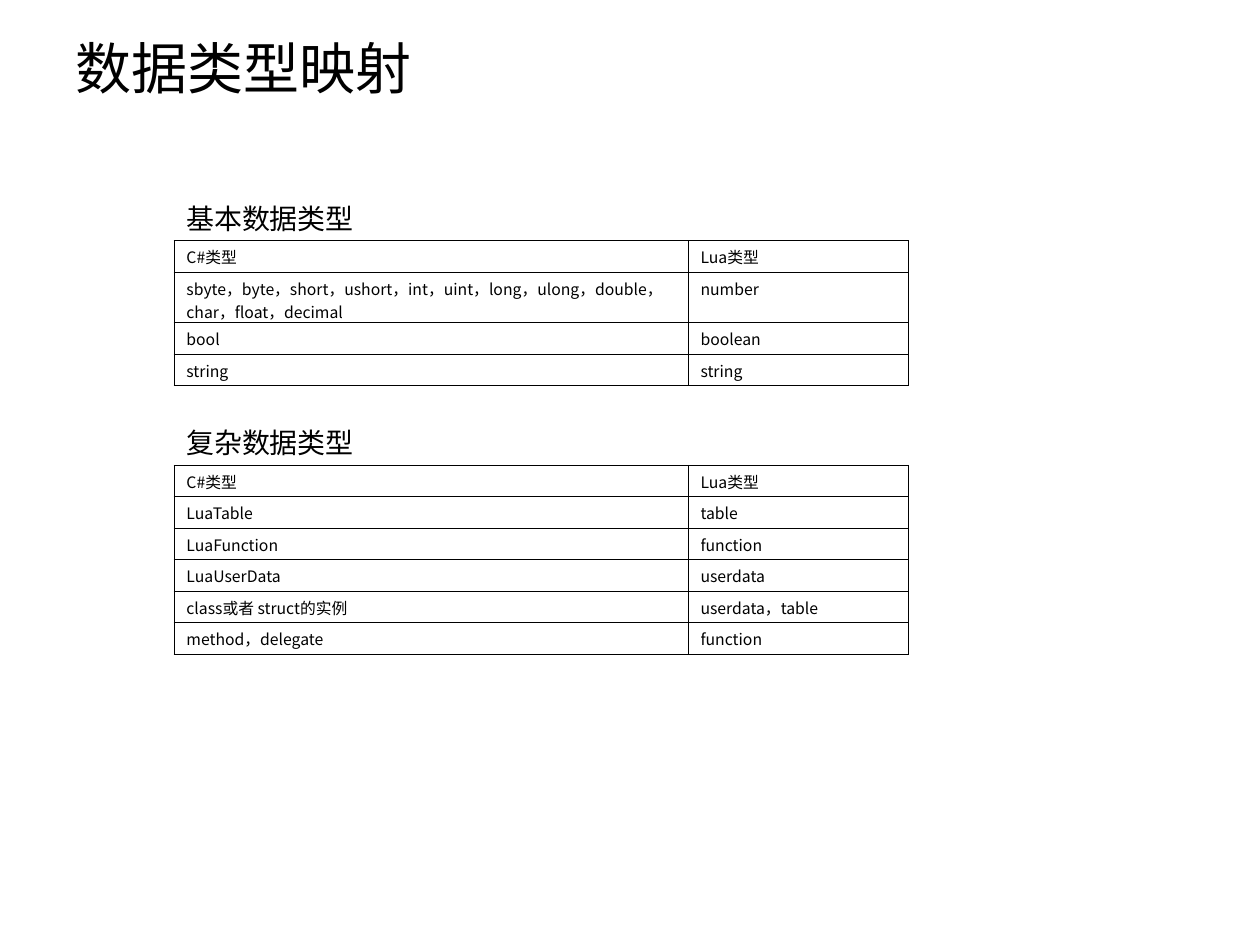
from lxml import etree
from pptx import Presentation
from pptx.dml.color import RGBColor
from pptx.enum.text import MSO_ANCHOR, PP_ALIGN
from pptx.oxml.ns import qn
from pptx.util import Inches, Pt

LEFT = PP_ALIGN.LEFT
TOP, MIDDLE = MSO_ANCHOR.TOP, MSO_ANCHOR.MIDDLE
TITLE_ONLY = 5

HEADER = ("C#类型", "Lua类型")
BASIC_TYPES = [
    HEADER,
    ("sbyte，byte，short，ushort，int，uint，long，ulong，double，char，float，decimal",
     "number"),
    ("bool", "boolean"),
    ("string", "string"),
]
COMPLEX_TYPES = [
    HEADER,
    ("LuaTable", "table"),
    ("LuaFunction", "function"),
    ("LuaUserData", "userdata"),
    ("class或者 struct的实例", "userdata，table"),
    ("method，delegate", "function"),
]


def color(value):
    return RGBColor.from_string(value)


class TypeMappingSlide:
    title_font = "Arial"
    body_font = "Noto Sans CJK SC"
    ink = "000000"
    left = 1.38
    column_widths = (4.08, 1.75)
    row_height = 0.25

    def __init__(self, presentation):
        layout = presentation.slide_layouts[TITLE_ONLY]
        self.slide = presentation.slides.add_slide(layout)

    def set_text(self, text_frame, text, size, font_name):
        text_frame.word_wrap = True
        text_frame.text = text
        paragraph = text_frame.paragraphs[0]
        paragraph.alignment = LEFT
        paragraph.font.name = font_name
        paragraph.font.size = Pt(size)
        paragraph.font.color.rgb = color(self.ink)

    def title(self, text):
        shape = self.slide.shapes.title
        shape.left, shape.top = Inches(0.5), Inches(0.21)
        shape.width, shape.height = Inches(9), Inches(0.64)
        self.set_text(shape.text_frame, text, 32, self.title_font)
        shape.text_frame.vertical_anchor = MIDDLE

    def heading(self, text, top):
        shape = self.slide.shapes.add_textbox(
            Inches(self.left), Inches(top), Inches(5.56), Inches(0.37))
        self.set_text(shape.text_frame, text, 16, self.body_font)

    def border(self, cell):
        properties = cell._tc.get_or_add_tcPr()
        for index, side in enumerate(("lnL", "lnR", "lnT", "lnB")):
            line = etree.Element(qn(f"a:{side}"), w=str(Pt(0.25)))
            fill = etree.SubElement(line, qn("a:solidFill"))
            etree.SubElement(fill, qn("a:srgbClr"), val=self.ink)
            properties.insert(index, line)

    def table(self, rows, top, tall_rows=None):
        heights = [self.row_height] * len(rows)
        for index, height in (tall_rows or {}).items():
            heights[index] = height
        table = self.slide.shapes.add_table(
            len(rows), len(self.column_widths), Inches(self.left), Inches(top),
            Inches(sum(self.column_widths)), Inches(sum(heights))).table
        table.first_row = table.horz_banding = False
        for column, width in zip(table.columns, self.column_widths):
            column.width = Inches(width)
        for row, height, texts in zip(table.rows, heights, rows):
            row.height = Inches(height)
            for cell, text in zip(row.cells, texts):
                cell.margin_left = cell.margin_right = Inches(0.1)
                cell.margin_top, cell.margin_bottom = Inches(0.04), 0
                cell.vertical_anchor = TOP
                cell.fill.background()
                self.border(cell)
                self.set_text(cell.text_frame, text, 9, self.body_font)


def main():
    presentation = Presentation()
    presentation.slide_width = Inches(10)
    presentation.slide_height = Inches(7.5)
    page = TypeMappingSlide(presentation)

    page.title("数据类型映射")

    # Basic types
    page.heading("基本数据类型", 1.55)
    page.table(BASIC_TYPES, 1.91, tall_rows={1: 0.4})

    # Complex types
    page.heading("复杂数据类型", 3.33)
    page.table(COMPLEX_TYPES, 3.69)

    presentation.save("out.pptx")


if __name__ == "__main__":
    main()
